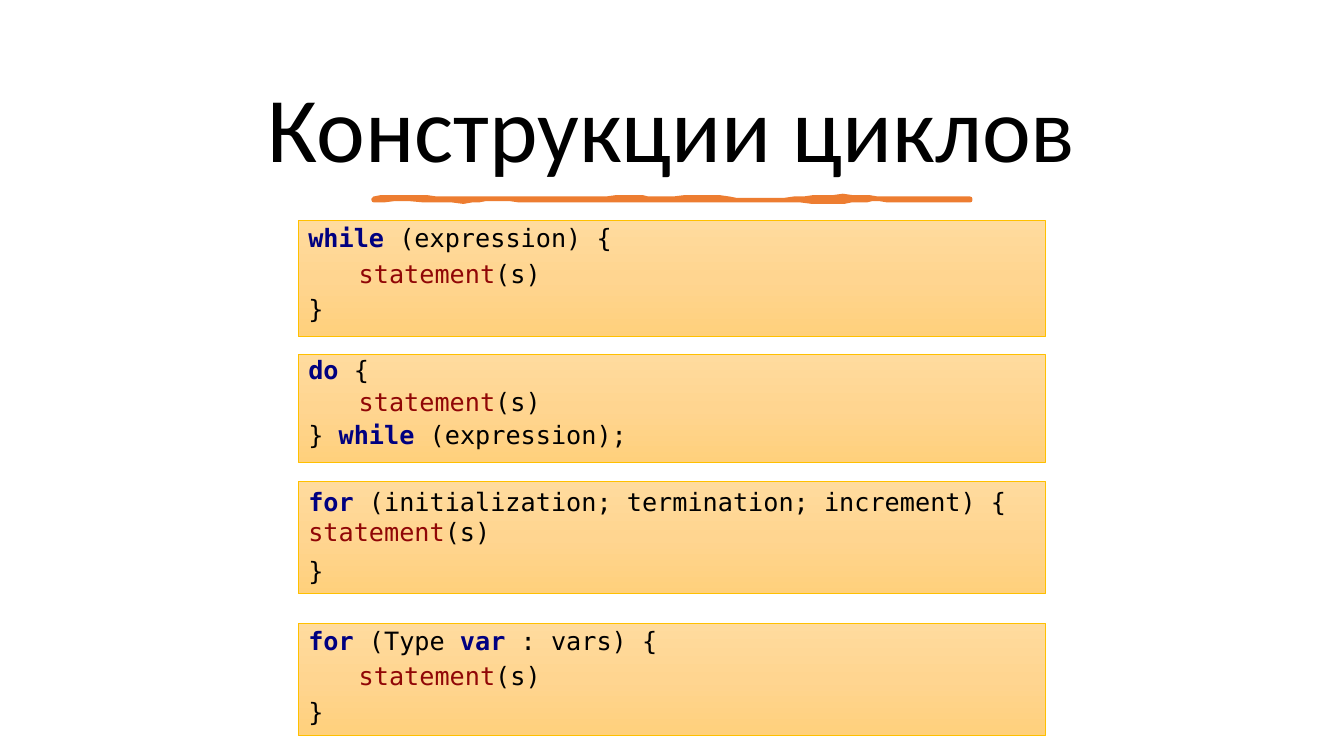
import copy

import pptx
import pptx.dml.color
import pptx.enum.shapes
import pptx.enum.text
import pptx.oxml.ns
import pptx.util

Pt = pptx.util.Pt
KEYWORD, STATEMENT, PLAIN = "000080", "900606", "000000"


def rgb(value):
    return pptx.dml.color.RGBColor.from_string(value)


def write(frame, lines, font, size, align, spacing, after=0, anchor="TOP"):
    frame.word_wrap = True
    frame.vertical_anchor = pptx.enum.text.MSO_ANCHOR[anchor]
    for number, pieces in enumerate(lines):
        paragraph = frame.add_paragraph() if number else frame.paragraphs[0]
        paragraph.alignment = pptx.enum.text.PP_ALIGN[align]
        paragraph.line_spacing = spacing
        paragraph.space_after = Pt(after)
        for words, color in pieces:
            if words == "\v":
                paragraph.add_line_break()
                continue
            run = paragraph.add_run()
            run.text = words
            run.font.name = font
            run.font.size = Pt(size)
            run.font.bold = color == KEYWORD
            run.font.color.rgb = rgb(color)


deck = pptx.Presentation()
deck.slide_width, deck.slide_height = Pt(960), Pt(540)
slide = deck.slides.add_slide(deck.slide_layouts[6])

title = slide.shapes.add_textbox(Pt(50.4), Pt(52.6), Pt(859), Pt(84.2))
write(title.text_frame, [[("Конструкции циклов", PLAIN)]], font="Calibri", size=66,
      align="CENTER", spacing=0.9, anchor="MIDDLE")

upper_edge = [
    (267.1, 141.8),
    (279.4, 140.4), (292.3, 140.4), (311.8, 141.8),
    (331.2, 143.3), (346.3, 141.1), (369.4, 141.8),
    (391.7, 142.6), (395.3, 141.1), (418.3, 141.8),
    (440.6, 141.8), (452.9, 140.4), (463, 141.8),
    (472.3, 143.3), (504.7, 139), (520.6, 141.8),
    (535.7, 144.7), (555.1, 143.3), (573.8, 141.8),
    (592.6, 139.7), (612.7, 140.4), (627.1, 141.8),
    (640.8, 143.3), (674.6, 141.1), (692.6, 141.8),
]
lower_edge = [
    (692.6, 143.3),
    (671.8, 142.6), (670.3, 144), (648, 143.3),
    (626.4, 141.8), (617, 142.6), (607.7, 143.3),
    (598.3, 144), (563, 143.3), (550.1, 143.3),
    (537.1, 142.6), (527, 144), (505.4, 143.3),
    (483.8, 141.8), (474.5, 144), (447.8, 143.3),
    (421.2, 142.6), (409, 144), (385.9, 143.3),
    (363.6, 142.6), (350.6, 141.1), (337, 143.3),
    (324, 144.7), (281.5, 140.4), (267.1, 143.3),
]
STEPS = 8
outline = []
for edge in (upper_edge, lower_edge):
    outline.append(edge[0])
    for first in range(0, len(edge) - 1, 3):
        curve = edge[first:first + 4]
        for step in range(1, STEPS + 1):
            t = step / STEPS
            weights = ((1 - t) ** 3, 3 * t * (1 - t) ** 2, 3 * t ** 2 * (1 - t), t ** 3)
            outline.append(tuple(sum(w * point[axis] for w, point in zip(weights, curve))
                                 for axis in (0, 1)))

brush = slide.shapes.build_freeform(*outline[0], scale=Pt(1))
brush.add_line_segments(outline[1:], close=True)
underline = brush.convert_to_shape()
underline.shadow.inherit = False
underline.fill.solid()
underline.fill.fore_color.rgb = rgb("ED7D31")
underline.line.color.rgb = rgb("ED7D31")
underline.line.width = Pt(3.25)

body = [("\tstatement", STATEMENT), ("(s)", PLAIN)]
closing = [("}", PLAIN)]
loops = [
    (157.7, 82.8, 0.9, [[("while", KEYWORD), (" (expression) {", PLAIN)], body, closing]),
    (253.4, 77, 0.8, [[("do", KEYWORD), (" {", PLAIN)], body,
                      [("} ", PLAIN), ("while", KEYWORD), (" (expression);", PLAIN)]]),
    (343.8, 80.3, 1.0, [[("for", KEYWORD),
                         (" (initialization; termination; increment) {", PLAIN),
                         ("\v", PLAIN), ("statement", STATEMENT), ("(s)", PLAIN)], closing]),
    (445.3, 80.3, 0.9, [[("for", KEYWORD), (" (Type ", PLAIN), ("var", KEYWORD),
                         (" : vars) {", PLAIN)], body, closing]),
]
for top, height, spacing, code in loops:
    box = slide.shapes.add_shape(pptx.enum.shapes.MSO_SHAPE.RECTANGLE,
                                 Pt(213.1), Pt(top), Pt(533.9), Pt(height))
    box.shadow.inherit = False
    box.fill.gradient()
    box.fill.gradient_angle = 270
    stop_list = box._element.spPr.find(".//" + pptx.oxml.ns.qn("a:gsLst"))
    stop_list.insert(1, copy.deepcopy(stop_list[0]))
    shades = ((0, "FFDB9E"), (0.5, "FFD590"), (1, "FFD07C"))
    for stop, (position, shade) in zip(box.fill.gradient_stops, shades):
        stop.position = position
        stop.color.rgb = rgb(shade)
    box.line.color.rgb = rgb("FFC000")
    box.line.width = Pt(0.5)
    write(box.text_frame, code, font="DejaVu Sans Mono", size=18,
          align="LEFT", spacing=spacing, after=6)

deck.save("out.pptx")
